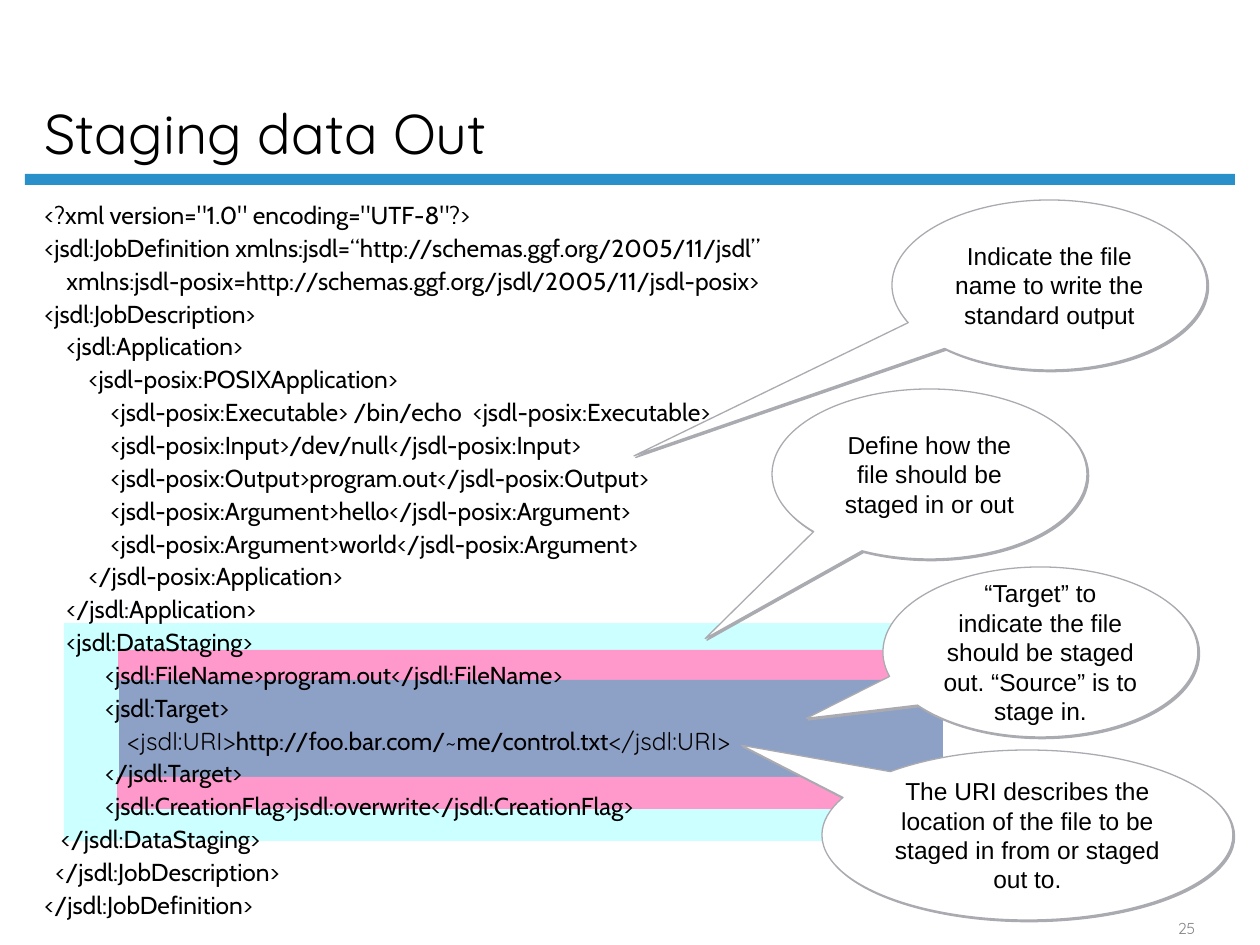
"""Build the "Staging data Out" slide: a JSDL listing with explanatory callouts."""
from lxml.etree import SubElement
from pptx import Presentation
from pptx.dml.color import RGBColor
from pptx.enum.shapes import MSO_SHAPE
from pptx.enum.text import MSO_ANCHOR, PP_ALIGN
from pptx.oxml.ns import qn
from pptx.util import Emu, Pt

PX = 914400 / 126
BLACK = RGBColor(0x00, 0x00, 0x00)
WHITE = RGBColor(0xFF, 0xFF, 0xFF)
GRAY = RGBColor(0x84, 0x85, 0x89)
OUTLINE = RGBColor(0xAA, 0xAB, 0xB0)
BLUE = RGBColor(0x29, 0x90, 0xCA)
CYAN = RGBColor(0xCC, 0xFF, 0xFF)
PINK = RGBColor(0xFF, 0x99, 0xCC)
SLATE = RGBColor(0x8D, 0xA0, 0xC6)

RULE = ((25, 174, 1210, 11), BLUE)
STAGING_BAND = ((64, 623, 879, 218), CYAN)
ELEMENT_BANDS = [
    ((118, 650, 825, 30), PINK),
    ((119, 680, 824, 98), SLATE),
    ((117, 777, 826, 32), PINK),
]

STAGING_NOTE = ((772, 389, 315, 170), (-0.712, 0.968),
                "Define how the file should be staged in or out")
URI_NOTE = ((822, 750, 411, 170), (-0.696, -0.528),
            "The URI describes the location of the file to be staged in from or staged out to.")
TARGET_NOTE = ((883, 567, 315, 170), (-0.743, 0.39),
               "“Target” to indicate the file should be staged out. “Source” is to stage in.")
OUTPUT_NOTE = ((892, 200, 315, 170), (-1.319, 1.005),
               "Indicate the file name to write the standard output")

LISTING = [
    '<?xml version="1.0" encoding="UTF-8"?>',
    "<jsdl:JobDefinition xmlns:jsdl=“http://schemas.ggf.org/2005/11/jsdl”",
    "    xmlns:jsdl-posix=http://schemas.ggf.org/jsdl/2005/11/jsdl-posix>",
    "<jsdl:JobDescription>",
    "    <jsdl:Application>",
    "        <jsdl-posix:POSIXApplication>",
    "            <jsdl-posix:Executable> /bin/echo  <jsdl-posix:Executable>",
    "            <jsdl-posix:Input>/dev/null</jsdl-posix:Input>",
    "            <jsdl-posix:Output>program.out</jsdl-posix:Output>",
    "            <jsdl-posix:Argument>hello</jsdl-posix:Argument>",
    "            <jsdl-posix:Argument>world</jsdl-posix:Argument>",
    "        </jsdl-posix:Application>",
    "    </jsdl:Application>",
    "    <jsdl:DataStaging>",
    "           <jsdl:FileName>program.out</jsdl:FileName>",
    "           <jsdl:Target>",
    [("               ", "Cabin"), ("<jsdl:URI>", "Quicksand"),
     ("http://foo.bar.com/~me/control.txt", "Cabin"), ("</jsdl:URI>", "Quicksand")],
    "           </jsdl:Target>",
    "           <jsdl:CreationFlag>jsdl:overwrite</jsdl:CreationFlag>",
    "   </jsdl:DataStaging>",
    "  </jsdl:JobDescription>",
    "</jsdl:JobDefinition>",
]


def px(length):
    return Emu(round(length * PX))


def write(holder, lines, font, size, color=BLACK, align=PP_ALIGN.LEFT,
          anchor=MSO_ANCHOR.TOP, spacing=None, before=0, after=0, hanging=0):
    frame = holder.text_frame
    frame.word_wrap = True
    frame.vertical_anchor = anchor
    for index, line in enumerate(lines):
        paragraph = frame.add_paragraph() if index else frame.paragraphs[0]
        paragraph.alignment = align
        paragraph.space_before = Pt(before if index else 0)
        paragraph.space_after = Pt(after)
        if spacing:
            paragraph.line_spacing = spacing
        if hanging:
            properties = paragraph._p.get_or_add_pPr()
            properties.set("marL", str(px(hanging)))
            properties.set("indent", str(-px(hanging)))
        for text, face in [(line, font)] if isinstance(line, str) else line:
            run = paragraph.add_run()
            run.text = text
            run.font.name = face
            run.font.size = Pt(size)
            run.font.color.rgb = color


def add_filled(slide, preset, box, fill):
    shape = slide.shapes.add_shape(preset, *map(px, box))
    shape.shadow.inherit = False
    shape.fill.solid()
    shape.fill.fore_color.rgb = fill
    shape.line.fill.background()
    return shape


def add_band(slide, box, fill):
    add_filled(slide, MSO_SHAPE.RECTANGLE, box, fill)


def add_callout(slide, box, tip, text):
    callout = add_filled(slide, MSO_SHAPE.OVAL_CALLOUT, box, WHITE)
    callout.adjustments[0], callout.adjustments[1] = tip
    callout.line.color.rgb = OUTLINE
    callout.line.width = Pt(0.75)
    effects = callout._element.spPr.find(qn("a:effectLst"))
    shadow = SubElement(effects, qn("a:outerShdw"), dist=str(Pt(1.4)),
                        dir="2700000", algn="ctr", rotWithShape="0")
    SubElement(shadow, qn("a:srgbClr"), val=str(OUTLINE))
    write(callout, [text], "Arial", 14, align=PP_ALIGN.CENTER, anchor=MSO_ANCHOR.MIDDLE)


def add_text(slide, box, lines, font, size, **style):
    write(slide.shapes.add_textbox(*map(px, box)), lines, font, size, **style)


def main():
    deck = Presentation()
    deck.slide_width, deck.slide_height = px(1260), px(945)
    slide = deck.slides.add_slide(deck.slide_layouts[6])

    add_band(slide, *RULE)
    add_band(slide, *STAGING_BAND)
    add_callout(slide, *STAGING_NOTE)
    add_text(slide, (32, 15, 1079, 158), ["Staging data Out"], "Quicksand", 32,
             anchor=MSO_ANCHOR.BOTTOM, spacing=0.9)
    for band in ELEMENT_BANDS:
        add_band(slide, *band)
    for note in (URI_NOTE, TARGET_NOTE):
        add_callout(slide, *note)
    add_text(slide, (32, 202, 1205, 743), LISTING, "Cabin", 14,
             spacing=0.7, before=5.2, after=1.8, hanging=32)
    add_callout(slide, *OUTPUT_NOTE)
    add_text(slide, (1134, 914, 105, 30), ["25"], "Quicksand", 9, color=GRAY,
             align=PP_ALIGN.CENTER, anchor=MSO_ANCHOR.BOTTOM)

    deck.save("out.pptx")


if __name__ == "__main__":
    main()
